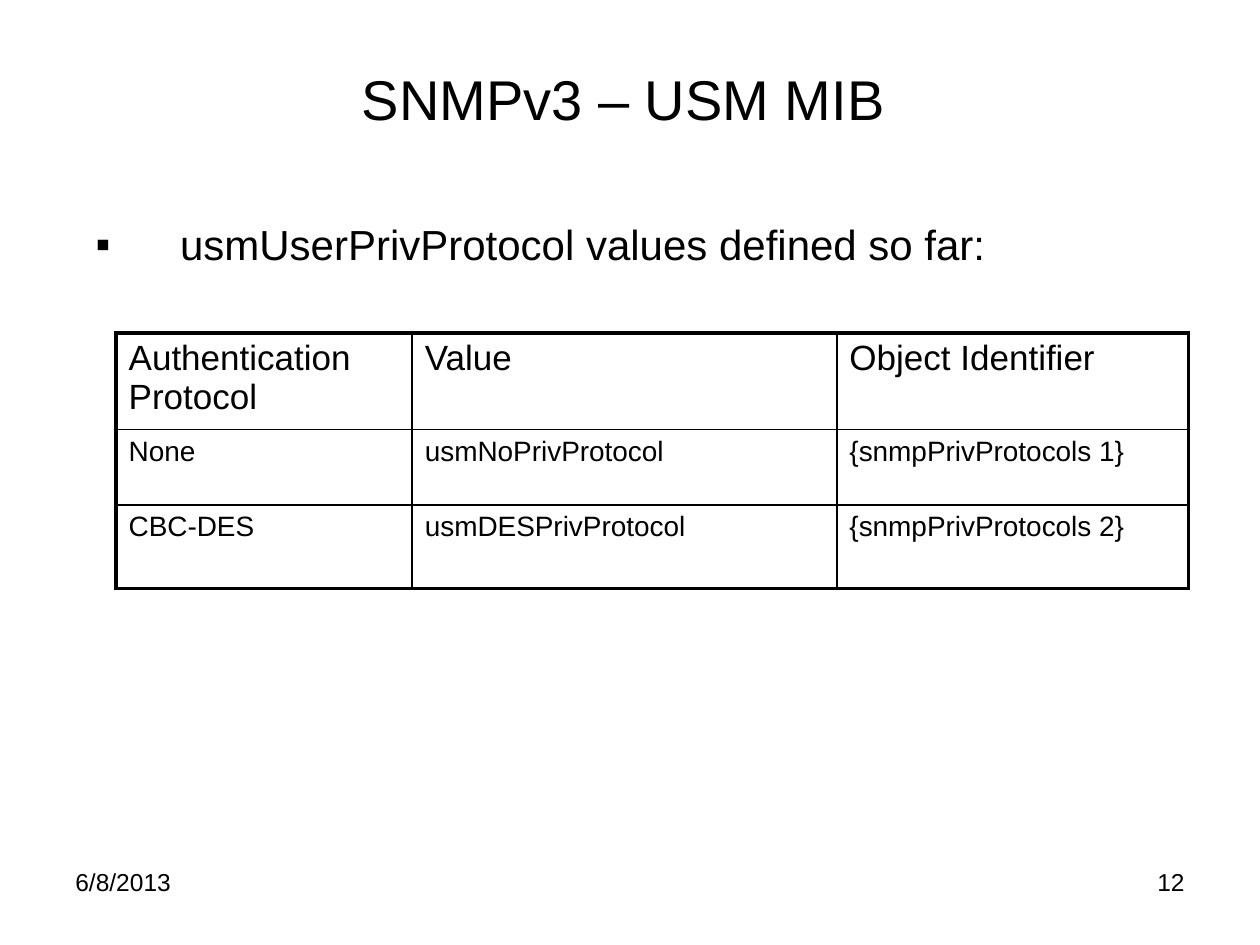
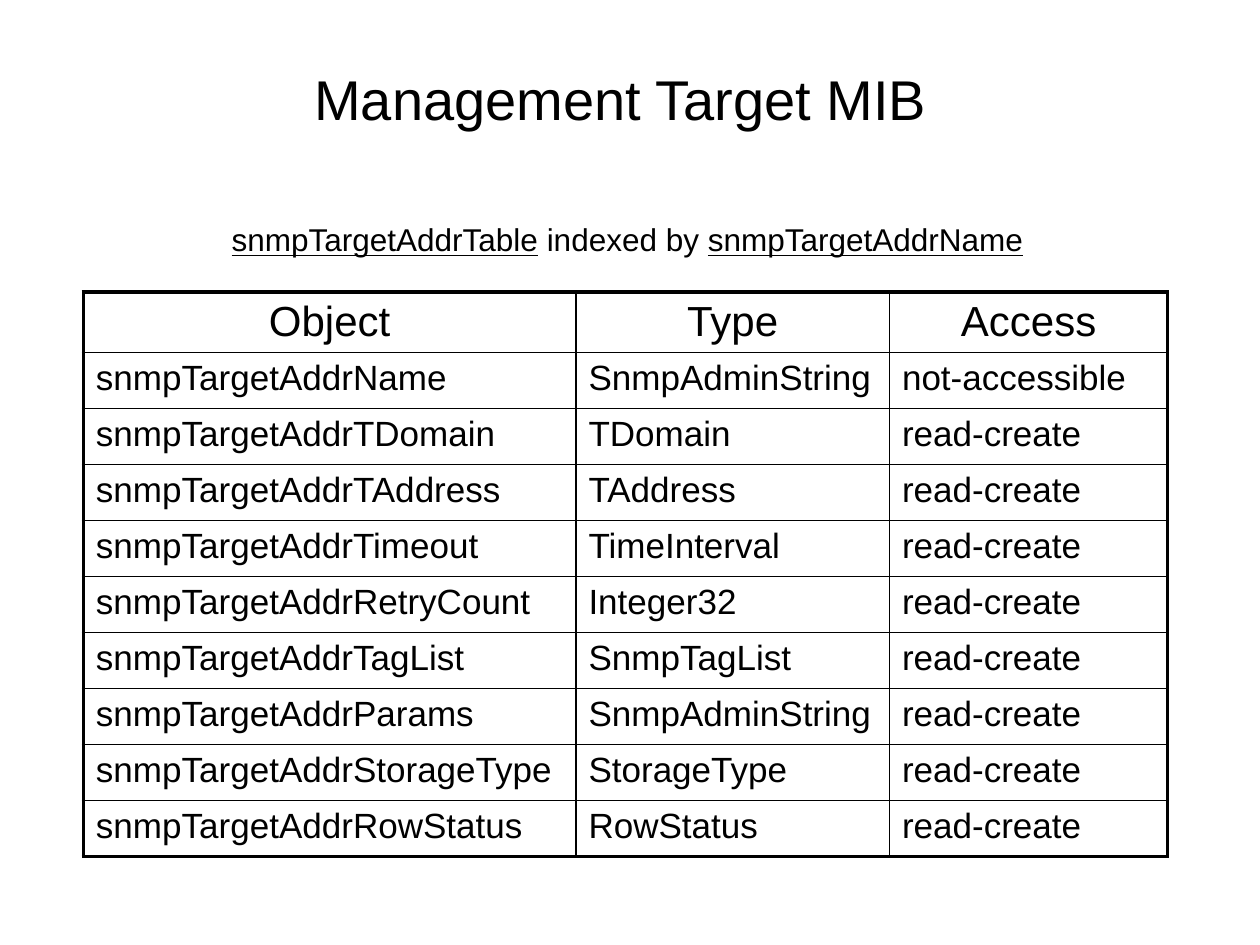
from lxml.etree import SubElement
from pptx import Presentation
from pptx.dml.color import RGBColor
from pptx.enum.text import MSO_ANCHOR as Anchor, PP_ALIGN as Align
from pptx.oxml import parse_xml
from pptx.oxml.ns import nsdecls, qn
from pptx.util import Cm, Pt

# Content
PRIV_TITLE = "SNMPv3 – USM MIB"
PRIV_POINT = "usmUserPrivProtocol values defined so far:"
PRIV_PROTOCOLS = [
    ("Authentication Protocol", "Value", "Object Identifier"),
    ("None", "usmNoPrivProtocol", "{snmpPrivProtocols 1}"),
    ("CBC-DES", "usmDESPrivProtocol", "{snmpPrivProtocols 2}"),
]
DATE, PAGE = "6/8/2013", "12"

TARGET_TITLE = "Management Target MIB "
# (text, underlined)
TARGET_CAPTION = [
    ("snmpTargetAddrTable", True),
    (" indexed by ", False),
    ("snmpTargetAddrName", True),
]
TARGET_OBJECTS = [
    ("Object", "Type", "Access"),
    ("snmpTargetAddrName", "SnmpAdminString", "not-accessible"),
    ("snmpTargetAddrTDomain", "TDomain", "read-create"),
    ("snmpTargetAddrTAddress", "TAddress", "read-create"),
    ("snmpTargetAddrTimeout", "TimeInterval", "read-create"),
    ("snmpTargetAddrRetryCount", "Integer32", "read-create"),
    ("snmpTargetAddrTagList", "SnmpTagList", "read-create"),
    ("snmpTargetAddrParams", "SnmpAdminString", "read-create"),
    ("snmpTargetAddrStorageType", "StorageType", "read-create"),
    ("snmpTargetAddrRowStatus", "RowStatus", "read-create"),
]

# Shared style
COLORS = {"ink": "000000", "paper": "FFFFFF"}
FONT = "Arial"
OUTER_LINE, INNER_LINE = Pt(2.25), Pt(1)


def style(font, size):
    font.name = FONT
    font.size = Pt(size)
    font.color.rgb = RGBColor.from_string(COLORS["ink"])


def add_titled_slide(prs, title, left):
    slide = prs.slides.add_slide(prs.slide_layouts[5])
    heading = slide.shapes.title
    heading.left, heading.top = Cm(left), Cm(0.38)
    heading.width, heading.height = Cm(22.86), Cm(3.18)
    frame = heading.text_frame
    frame.text = title
    frame.vertical_anchor = Anchor.MIDDLE
    frame.paragraphs[0].alignment = Align.CENTER
    style(frame.paragraphs[0].runs[0].font, 32)
    return slide


def add_text(slide, box, text, size, align=Align.LEFT):
    frame = slide.shapes.add_textbox(*map(Cm, box)).text_frame
    frame.word_wrap = True
    frame.text = text
    paragraph = frame.paragraphs[0]
    paragraph.alignment = align
    for run in paragraph.runs:
        style(run.font, size)
    return paragraph


def add_bullet(paragraph, indent):
    props = paragraph._p.get_or_add_pPr()
    props.set("marL", str(Cm(indent)))
    props.set("indent", str(-Cm(indent)))
    SubElement(props, qn("a:buFont"), typeface=FONT)
    SubElement(props, qn("a:buChar"), char="▪")


def set_borders(cell, widths):
    props = cell._tc.get_or_add_tcPr()
    for place, (side, width) in enumerate(widths.items()):
        props.insert(place, parse_xml(
            f'<a:ln{side} {nsdecls("a")} w="{width}"><a:solidFill>'
            f'<a:srgbClr val="{COLORS["ink"]}"/></a:solidFill></a:ln{side}>'))


def add_grid(slide, left, top, rows, widths, heights, sizes, header_align):
    """Table with a heavy frame and thin inner rules; sizes are (header, body)."""
    last_row, last_col = len(rows) - 1, len(widths) - 1
    table = slide.shapes.add_table(
        len(rows), len(widths), Cm(left), Cm(top),
        Cm(sum(widths)), Cm(sum(heights))).table
    table.first_row = table.horz_banding = False
    for column, width in zip(table.columns, widths):
        column.width = Cm(width)
    for r, (row, height) in enumerate(zip(rows, heights)):
        table.rows[r].height = Cm(height)
        for c, text in enumerate(row):
            cell = table.cell(r, c)
            cell.text = text
            paragraph = cell.text_frame.paragraphs[0]
            paragraph.alignment = Align.LEFT if r else header_align
            style(paragraph.runs[0].font, sizes[min(r, 1)])
            cell.fill.solid()
            cell.fill.fore_color.rgb = RGBColor.from_string(COLORS["paper"])
            on_edge = {"L": c == 0, "R": c == last_col, "T": r == 0, "B": r == last_row}
            set_borders(cell, {side: OUTER_LINE if edge else INNER_LINE
                               for side, edge in on_edge.items()})


def build_priv_protocols(prs):
    slide = add_titled_slide(prs, PRIV_TITLE, 1.14)
    # Date and page number
    add_text(slide, (1.27, 17.35, 5.92, 1.32), DATE, 14)
    add_text(slide, (18.21, 17.35, 5.92, 1.32), PAGE, 14, Align.RIGHT)
    # Point and its table
    point = add_text(slide, (1.68, 4.29, 22.61, 11.84), PRIV_POINT, 24)
    add_bullet(point, 1.7)
    add_grid(slide, 2.34, 6.71, PRIV_PROTOCOLS, (5.97, 8.56, 7.09),
             (1.82, 1.52, 1.68), (20, 16), Align.LEFT)


def build_target_objects(prs):
    slide = add_titled_slide(prs, TARGET_TITLE, 1.24)
    add_grid(slide, 1.68, 5.89, TARGET_OBJECTS, (9.93, 6.32, 5.61),
             [1.22] + [1.13] * (len(TARGET_OBJECTS) - 1), (24, 20), Align.CENTER)
    # Caption above the table
    caption = add_text(slide, (4.42, 4.32, 16.66, 1.02), "", 18)
    for text, underlined in TARGET_CAPTION:
        run = caption.add_run()
        run.text = text
        style(run.font, 18)
        run.font.underline = underlined


def main():
    prs = Presentation()
    prs.slide_width, prs.slide_height = Cm(25.4), Cm(19.05)
    build_priv_protocols(prs)
    build_target_objects(prs)
    prs.save("out.pptx")


if __name__ == "__main__":
    main()
